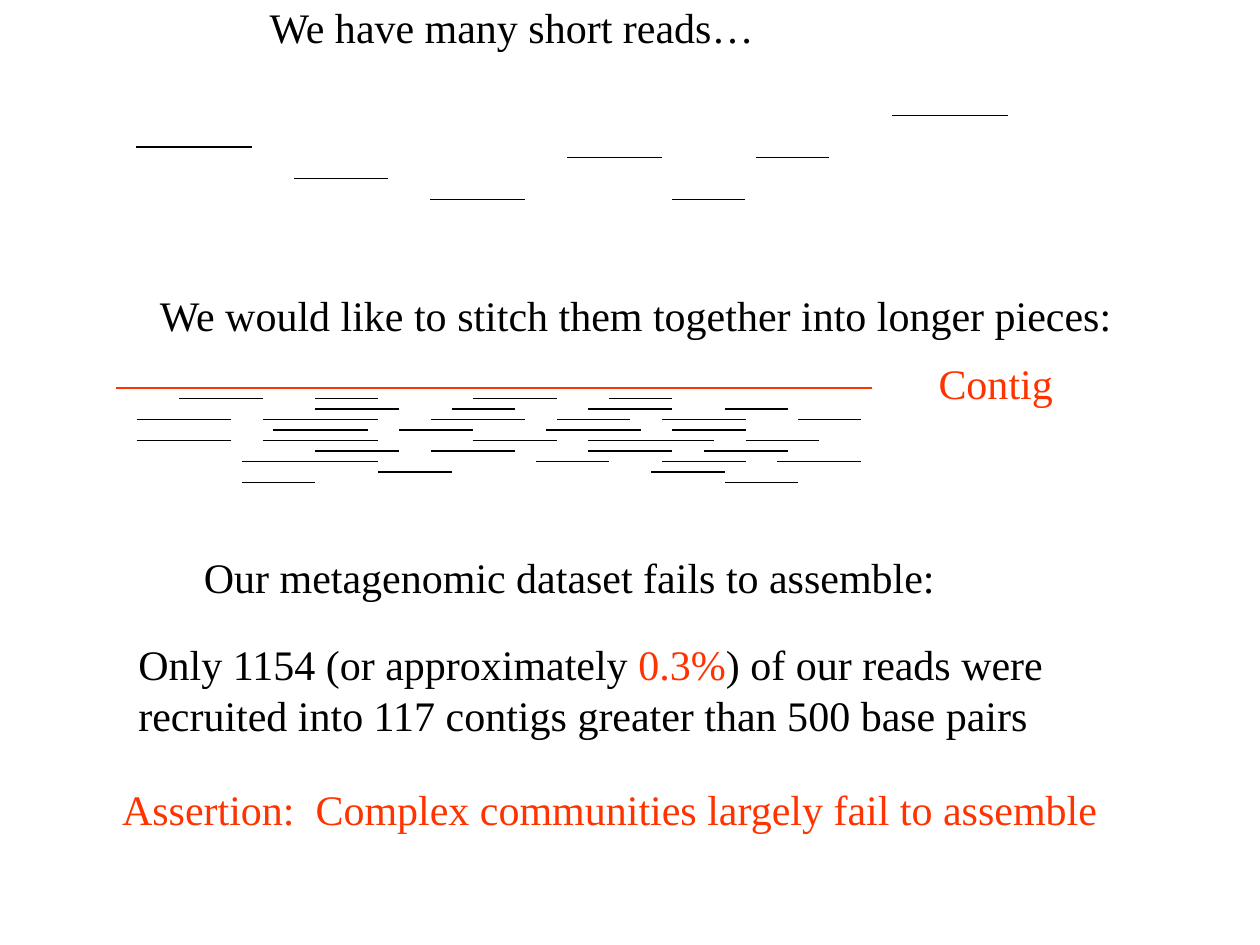
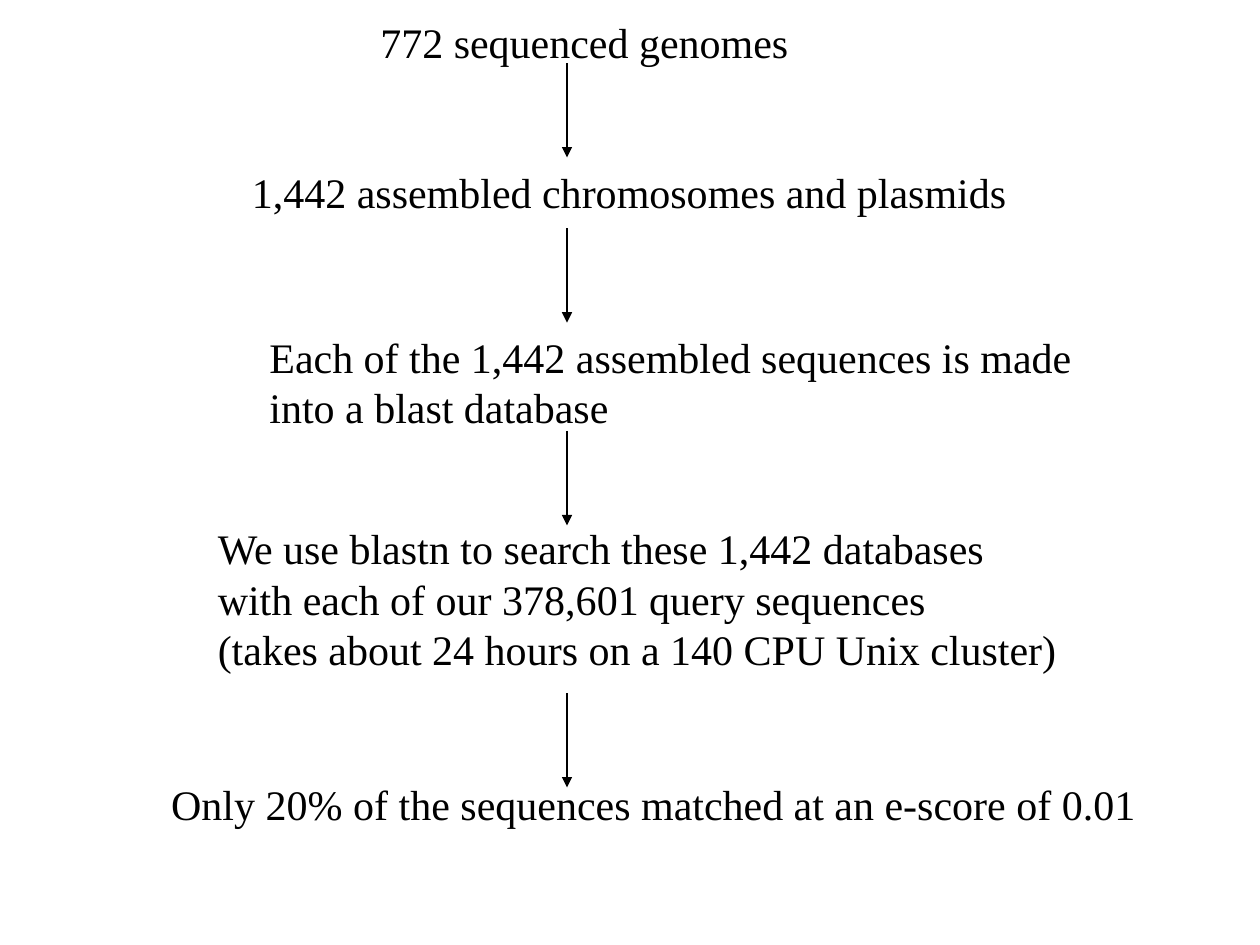
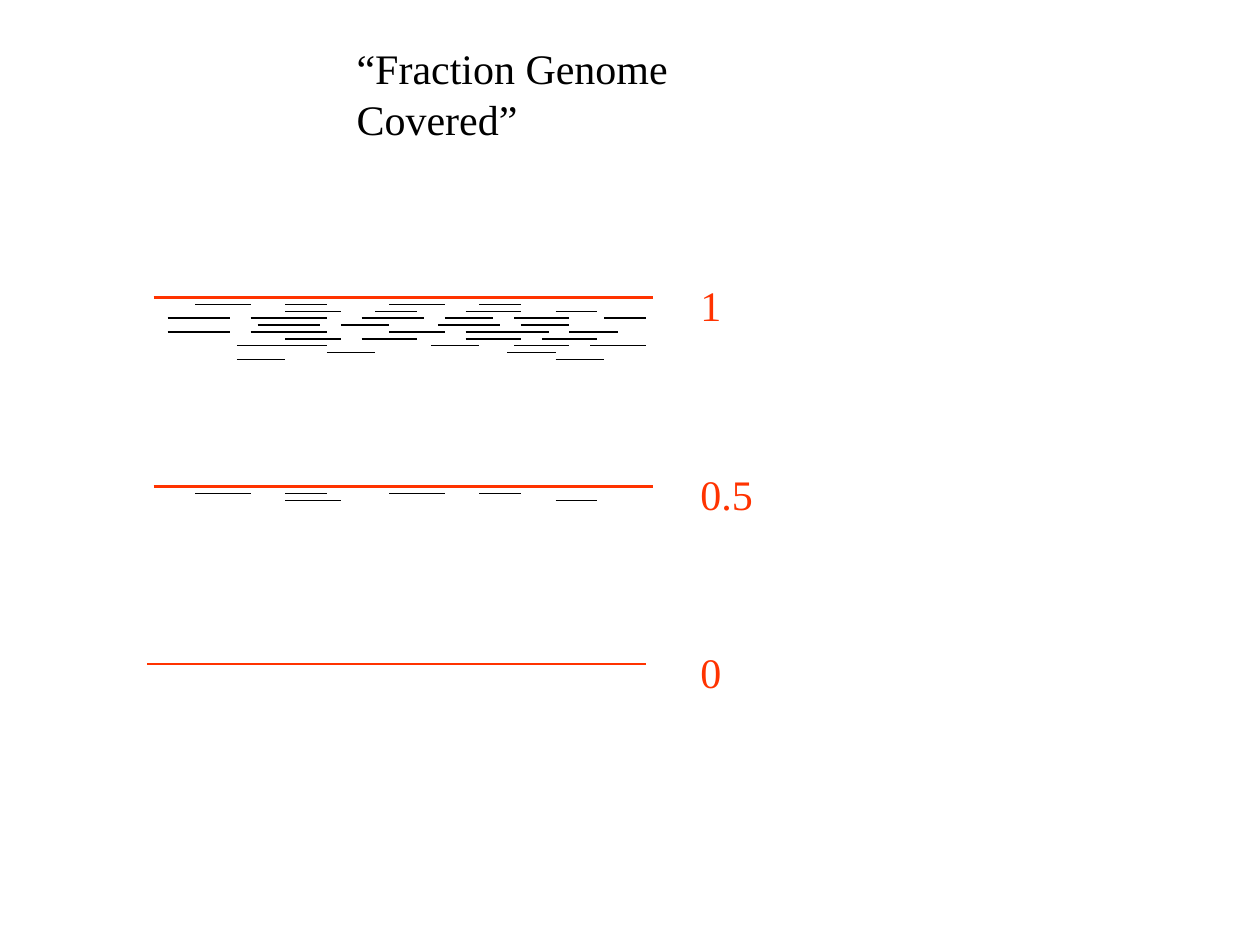
from lxml.etree import SubElement
from pptx import Presentation
from pptx.dml.color import RGBColor
from pptx.enum.shapes import MSO_CONNECTOR as CONNECTOR
from pptx.enum.text import MSO_ANCHOR as ANCHOR, MSO_AUTO_SIZE as AUTO_SIZE, PP_ALIGN as ALIGN
from pptx.oxml.ns import qn
from pptx.util import Inches, Pt

COLORS = {"ink": "000000", "accent": "FF3300"}
FONT = "Times New Roman"
TITLE_ONLY, BLANK = 5, 6

# Reads are laid out on a grid: row -> (start, end) in grid units
TWELFTH = 1 / 12
CONTIG_UNITS = 72
SCATTERED_READS = {
    11: [(85, 96)],
    14: [(13, 24)],
    15: [(54, 63), (72, 79)],
    17: [(28, 37)],
    19: [(41, 50), (64, 71)],
}
FULL_COVERAGE = {
    1: [(6, 14), (19, 25), (34, 42), (47, 53)],
    2: [(19, 27), (32, 38), (45, 53), (58, 64)],
    3: [(2, 11), (14, 21), (19, 25), (30, 39), (42, 49), (52, 60), (65, 71)],
    4: [(15, 24), (27, 34), (41, 50), (53, 60)],
    5: [(2, 11), (14, 21), (17, 25), (34, 42), (45, 53), (48, 57), (60, 67)],
    6: [(19, 27), (30, 38), (45, 53), (56, 64)],
    7: [(12, 19), (17, 25), (40, 47), (52, 60), (63, 71)],
    8: [(25, 32), (51, 58)],
    9: [(12, 19), (58, 65)],
}
HALF_COVERAGE = {1: FULL_COVERAGE[1], 2: [(19, 27), (58, 64)]}


def write_text(frame, paragraphs):
    """Fill a frame with paragraphs, each a list of (text, color) runs."""
    frame.word_wrap = False
    frame.auto_size = AUTO_SIZE.NONE
    frame.vertical_anchor = ANCHOR.TOP
    for index, runs in enumerate(paragraphs):
        paragraph = frame.add_paragraph() if index else frame.paragraphs[0]
        paragraph.alignment = ALIGN.LEFT
        for text, color in runs:
            run = paragraph.add_run()
            run.text = text
            run.font.name = FONT
            run.font.size = Pt(24)
            run.font.color.rgb = RGBColor.from_string(COLORS[color])


def add_title(slide, text, left, top, width):
    title = slide.shapes.title
    title.left, title.top = Inches(left), Inches(top)
    title.width, title.height = Inches(width), Inches(0.5)
    write_text(title.text_frame, [[(text, "ink")]])


def add_text(slide, paragraphs, left, top, width):
    height = 0.1 + 0.4 * len(paragraphs)
    box = slide.shapes.add_textbox(Inches(left), Inches(top), Inches(width), Inches(height))
    write_text(box.text_frame, paragraphs)


def add_line(slide, start, end, color="ink", weight=0.75):
    line = slide.shapes.add_connector(
        CONNECTOR.STRAIGHT, *(Inches(value) for value in (*start, *end)))
    line.line.color.rgb = RGBColor.from_string(COLORS[color])
    line.line.width = Pt(weight)
    SubElement(line._element.spPr, qn("a:effectLst"))
    return line


def add_arrow(slide, x, top, length):
    arrow = add_line(slide, (x, top), (x, top + length))
    SubElement(arrow.line._get_or_add_ln(), qn("a:tailEnd"), type="triangle")


def add_reads(slide, reads, left, top, unit):
    for row, spans in reads.items():
        y = top + row * unit
        for start, end in spans:
            add_line(slide, (left + start * unit, y), (left + end * unit, y))


def add_contig(slide, reads, left, top, unit):
    """Draw a contig with the reads that cover it stacked below."""
    add_line(slide, (left, top), (left + CONTIG_UNITS * unit, top), "accent", 1.5)
    add_reads(slide, reads, left, top, unit)


def build_assembly(slide):
    # Short reads
    add_title(slide, "We have many short reads…", 2.04, -0.04, 4.07)
    add_reads(slide, SCATTERED_READS, 0, 0, TWELFTH)

    # Reads stitched into a contig
    add_text(slide, [[("We would like to stitch them together into longer pieces:", "ink")]],
             1.17, 2.25, 7.78)
    add_contig(slide, FULL_COVERAGE, 0.92, 3.08, TWELFTH)
    add_text(slide, [[("Contig", "accent")]], 7.35, 2.79, 1.11)

    # Findings
    add_text(slide, [[("Our metagenomic dataset fails to assemble:", "ink")]], 1.52, 4.33, 6)
    add_text(slide, [
        [("Only 1154 (or approximately ", "ink"), ("0.3%", "accent"),
         (") of our reads were", "ink")],
        [("recruited into 117 contigs greater than 500 base pairs", "ink")],
    ], 1, 5.02, 7.47)
    add_text(slide, [[("Assertion:  Complex communities largely fail to assemble", "accent")]],
             0.87, 6.17, 7.95)


def build_search_steps(slide):
    steps = [
        (["772 sequenced genomes"], 2.92, 0.08, 3.44),
        (["1,442 assembled chromosomes and plasmids"], 1.9, 1.27, 6.19),
        (["Each of the 1,442 assembled sequences is made",
          "into a blast database"], 2.04, 2.58, 6.57),
        (["We use blastn to search these 1,442 databases",
          "with each of our 378,601 query sequences",
          "(takes about 24 hours on a 140 CPU Unix cluster)"], 1.63, 4.1, 7.02),
        (["Only 20% of the sequences matched at an e-score of 0.01"], 1.26, 6.13, 7.85),
    ]
    for lines, left, top, width in steps:
        add_text(slide, [[(line, "ink")] for line in lines], left, top, width)
    for arrow_top in (0.5, 1.81, 3.42, 5.5):
        add_arrow(slide, 4.5, arrow_top, 0.75)


def build_coverage(slide):
    add_title(slide, "“Fraction Genome Covered”", 2.73, 0.29, 4.03)
    unit = 3.96 / CONTIG_UNITS
    examples = [
        ("1", FULL_COVERAGE, 1.22, 2.36, 0.36),
        ("0.5", HALF_COVERAGE, 1.22, 3.86, 0.61),
        ("0", {}, 1.17, 5.27, 0.36),
    ]
    for fraction, reads, left, top, label_width in examples:
        add_contig(slide, reads, left, top, unit)
        add_text(slide, [[(fraction, "accent")]], 5.46, top - 0.19, label_width)


def main():
    deck = Presentation()
    deck.slide_width, deck.slide_height = Inches(10), Inches(7.5)
    for build, layout in ((build_assembly, TITLE_ONLY),
                          (build_search_steps, BLANK),
                          (build_coverage, TITLE_ONLY)):
        build(deck.slides.add_slide(deck.slide_layouts[layout]))
    deck.save("out.pptx")


if __name__ == "__main__":
    main()
